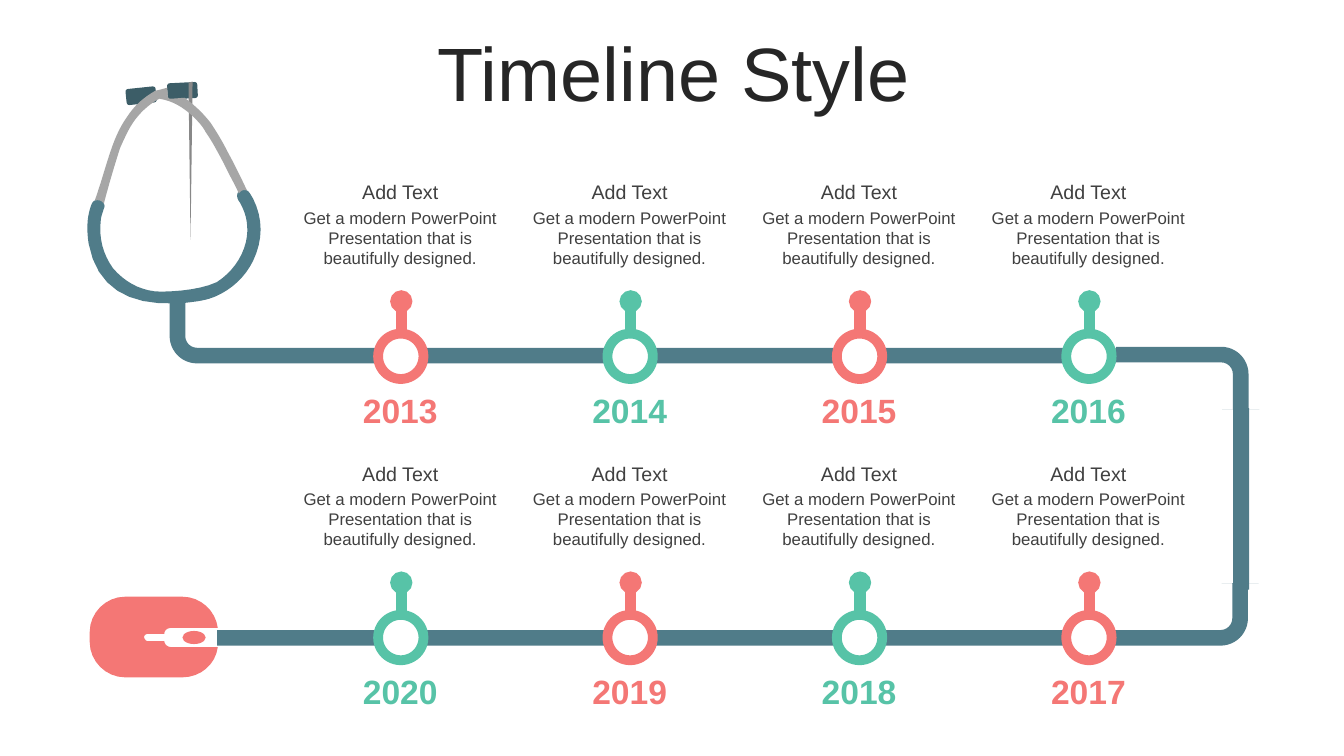
from lxml import etree
from pptx import Presentation
from pptx import util as u
from pptx.dml.color import RGBColor
from pptx.enum import shapes, text
from pptx.oxml import ns

COLORS = {"title": "262626", "body": "404040", "white": "FFFFFF", "coral": "F47775",
          "mint": "57C3A7", "tube": "507C89", "earpiece": "3C5D67",
          "metal": "A6A6A6", "needle": "888888"}

# Outlines in inches: a pair is a corner, six numbers are a cubic curve
RUBBER_LOOP = [
    (2.42, 1.88), (2.43, 1.88, 2.44, 1.88, 2.45, 1.89),
    (2.48, 1.91, 2.49, 1.94, 2.51, 1.97), (2.61, 2.17, 2.61, 2.38, 2.51, 2.59),
    (2.43, 2.75, 2.3, 2.87, 2.14, 2.94), (2.05, 2.98, 1.96, 2.99, 1.88, 3),
    (1.8, 3.01, 1.8, 3.01, 1.74, 3.01), (1.27, 3.03, 0.96, 2.85, 0.88, 2.42),
    (0.86, 2.29, 0.86, 2.17, 0.9, 2.05), (0.91, 2.02, 0.92, 2, 0.94, 1.99),
    (0.99, 1.97, 1.01, 1.98, 1.03, 2.02), (1.04, 2.04, 1.04, 2.05, 1.03, 2.07),
    (1.02, 2.11, 1, 2.15, 1, 2.19), (0.98, 2.36, 1.02, 2.52, 1.12, 2.66),
    (1.23, 2.79, 1.37, 2.87, 1.53, 2.89), (1.62, 2.9, 1.96, 2.89, 2.15, 2.8),
    (2.29, 2.71, 2.4, 2.57, 2.44, 2.4), (2.47, 2.26, 2.45, 2.13, 2.38, 2.01),
    (2.33, 1.95, 2.35, 1.88, 2.42, 1.88)]
RIGHT_ARM = [
    (2.45, 1.89), (2.41, 1.88, 2.39, 1.89, 2.37, 1.92),
    (2.32, 1.81, 2.26, 1.71, 2.22, 1.62), (2.16, 1.51, 2.11, 1.41, 2.04, 1.31),
    (2.01, 1.25, 1.96, 1.2, 1.91, 1.15), (1.82, 1.07, 1.72, 1, 1.58, 0.98),
    (1.61, 0.96, 1.65, 0.95, 1.66, 0.91), (1.66, 0.97, 1.67, 0.98, 1.7, 0.98),
    (1.83, 0.97), (1.94, 1.05, 2.02, 1.13, 2.09, 1.22),
    (2.15, 1.31, 2.21, 1.41, 2.26, 1.51), (2.32, 1.62, 2.38, 1.74, 2.45, 1.89)]
LEFT_ARM = [
    (1.66, 0.91), (1.67, 0.95, 1.65, 0.96, 1.58, 0.98),
    (1.5, 1.02, 1.42, 1.09, 1.37, 1.15), (1.29, 1.24, 1.24, 1.36, 1.19, 1.47),
    (1.14, 1.63, 1.09, 1.79, 1.03, 2.02), (1.01, 1.99, 0.98, 1.98, 0.94, 1.99),
    (1, 1.82, 1.04, 1.67, 1.09, 1.52), (1.13, 1.4, 1.18, 1.27, 1.26, 1.16),
    (1.33, 1.05, 1.42, 0.97, 1.54, 0.9), (1.59, 0.89, 1.62, 0.88, 1.66, 0.87)]
NEEDLE = [(1.87, 0.82), (1.91, 0.81), (1.89, 2.38)]
CHEST_PIECE = [
    (2.16, 6.23), (1.7, 6.23), (1.66, 6.23, 1.63, 6.25, 1.63, 6.29), (1.46, 6.29),
    (1.45, 6.29, 1.43, 6.3, 1.43, 6.32), (1.43, 6.34, 1.45, 6.36, 1.46, 6.36),
    (1.63, 6.36), (1.63, 6.39, 1.66, 6.42, 1.7, 6.42), (2.16, 6.42),
    (2.14, 6.59, 1.99, 6.72, 1.81, 6.72), (1.24, 6.72),
    (1.05, 6.72, 0.89, 6.56, 0.89, 6.37), (0.89, 6.27),
    (0.89, 6.08, 1.05, 5.92, 1.24, 5.92), (1.81, 5.92),
    (1.99, 5.92, 2.14, 6.06, 2.16, 6.23)]


def flatten(outline, steps=8):
    """Turn corners and cubic curves into a list of points."""
    points = [outline[0]]
    for part in outline[1:]:
        if len(part) == 2:
            points.append(part)
            continue
        controls = [points[-1], part[:2], part[2:4], part[4:]]
        for step in range(1, steps + 1):
            t = step / steps
            weights = [(1 - t) ** 3, 3 * t * (1 - t) ** 2, 3 * t * t * (1 - t), t ** 3]
            points.append(tuple(sum(w * c[axis] for w, c in zip(weights, controls))
                                for axis in (0, 1)))
    return points


class TimelineSlide:
    font = "Arial"

    def __init__(self, presentation):
        self.slide = presentation.slides.add_slide(presentation.slide_layouts[5])
        self.shapes = self.slide.shapes

    def color(self, name):
        return RGBColor.from_string(COLORS[name])

    def set_text(self, shape, words, size, color, bold=False):
        frame = shape.text_frame
        frame.word_wrap = True
        paragraph = frame.paragraphs[0]
        paragraph.text = words
        paragraph.alignment = text.PP_ALIGN.CENTER
        font = paragraph.font
        font.name, font.size, font.bold = self.font, u.Pt(size), bold
        font.color.rgb = self.color(color)
        return frame

    def title(self, words, box):
        shape = self.shapes.title
        shape.left, shape.top, shape.width, shape.height = map(u.Inches, box)
        frame = self.set_text(shape, words, 54, "title")
        frame.vertical_anchor = text.MSO_ANCHOR.MIDDLE
        frame.paragraphs[0].line_spacing = 0.9

    def label(self, words, box, size, color="body", bold=False, middle=False):
        shape = self.shapes.add_textbox(*map(u.Inches, box))
        frame = self.set_text(shape, words, size, color, bold)
        if middle:
            frame.vertical_anchor = text.MSO_ANCHOR.MIDDLE

    def paint(self, shape, fill, line=None, width=0):
        shape.shadow.inherit = False
        shape.fill.solid()
        shape.fill.fore_color.rgb = self.color(fill)
        if line:
            shape.line.color.rgb = self.color(line)
            shape.line.width = u.Pt(width)
        else:
            shape.line.fill.background()

    def preset(self, kind, box, fill, line=None, width=0, rotation=0,
               adjustments=(), flip=False):
        shape = self.shapes.add_shape(kind, *map(u.Inches, box))
        self.paint(shape, fill, line, width)
        shape.rotation = rotation
        for index, value in enumerate(adjustments):
            shape.adjustments[index] = value
        if flip:
            shape._element.spPr.find(ns.qn("a:xfrm")).set("flipH", "1")

    def outline(self, parts, fill):
        points = [(u.Inches(x), u.Inches(y)) for x, y in flatten(parts)]
        builder = self.shapes.build_freeform(*points[0])
        builder.add_line_segments(points[1:], close=True)
        self.paint(builder.convert_to_shape(), fill)

    def dumbbell(self, x, bottom, top, color):
        connector = self.shapes.add_connector(shapes.MSO_CONNECTOR.STRAIGHT,
                                              *map(u.Inches, (x, bottom, x, top)))
        connector.line.color.rgb = self.color(color)
        connector.line.width = u.Pt(8)
        properties = connector._element.spPr
        for end in ("a:headEnd", "a:tailEnd"):
            etree.SubElement(properties.find(ns.qn("a:ln")), ns.qn(end),
                             type="oval", w="sm", len="sm")
        etree.SubElement(properties, ns.qn("a:effectLst"))

    def milestone(self, year, x, y):
        color = "coral" if year % 2 else "mint"
        self.dumbbell(x, y, y - 0.54, color)
        self.preset(shapes.MSO_SHAPE.OVAL, (x - 0.23, y - 0.22, 0.45, 0.45),
                    "white", color, 7)
        self.label(str(year), (x - 0.6, y + 0.29, 1.18, 0.5), 24, color, True, True)
        self.label("Add Text", (x - 1.16, y - 1.79, 2.3, 0.34), 14)
        self.label("Get a modern PowerPoint Presentation that is beautifully designed.",
                   (x - 1.16, y - 1.52, 2.3, 0.71), 12)


def main():
    presentation = Presentation()
    presentation.slide_width, presentation.slide_height = u.Inches(13.33), u.Inches(7.5)
    page = TimelineSlide(presentation)
    page.title("Timeline Style", (0.35, 0.37, 12.66, 0.79))

    # Stethoscope head
    for box, angle in (((1.66, 0.82, 0.3, 0.16), -3), ((1.25, 0.87, 0.3, 0.16), -6)):
        page.preset(shapes.MSO_SHAPE.ROUNDED_RECTANGLE, box, "earpiece", rotation=angle)
    page.outline(NEEDLE, "needle")
    page.outline(RUBBER_LOOP, "tube")
    page.outline(RIGHT_ARM, "metal")
    page.outline(LEFT_ARM, "metal")

    # Tube that carries the timeline
    for box, rotation, flip in (((7.01, 0.93, 0.62, 10.33), 90, True),
                                ((6.01, -1.45, 0.62, 9.49), 270, False),
                                ((11.47, 3.04, 0.62, 1.42), 90, False)):
        page.preset(shapes.MSO_SHAPE.BENT_ARROW, box, "tube", rotation=rotation,
                    adjustments=(0.25, 0.298, 0, 0.438), flip=flip)
    page.preset(shapes.MSO_SHAPE.RECTANGLE, (12.23, 4.05, 0.16, 1.8), "tube")

    # Milestones: the years run right, then back left
    for years, y in ((range(2013, 2017), 3.53), (range(2020, 2016, -1), 6.32)):
        for column, year in enumerate(years):
            page.milestone(year, 3.98 + 2.275 * column, y)

    # Chest piece
    page.outline(CHEST_PIECE, "coral")
    page.preset(shapes.MSO_SHAPE.OVAL, (1.81, 6.26, 0.23, 0.13), "coral")

    presentation.save("out.pptx")


if __name__ == "__main__":
    main()
